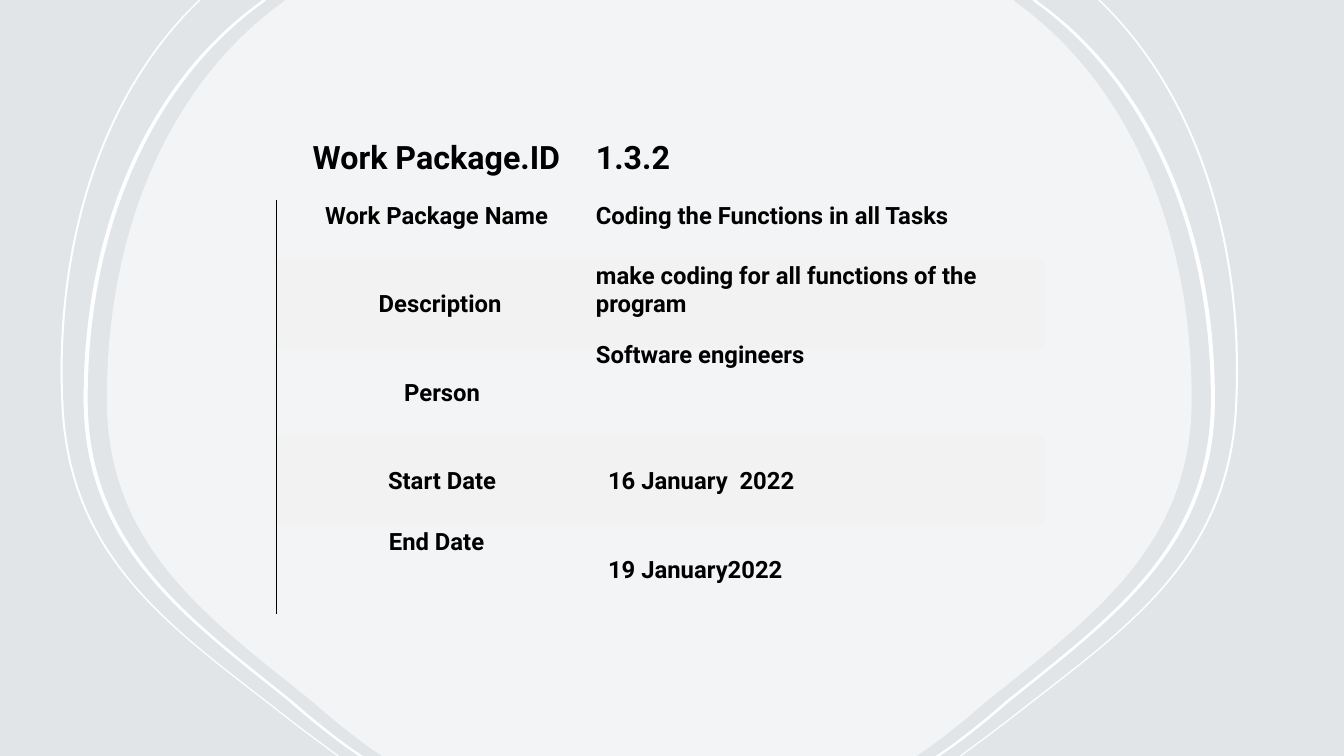
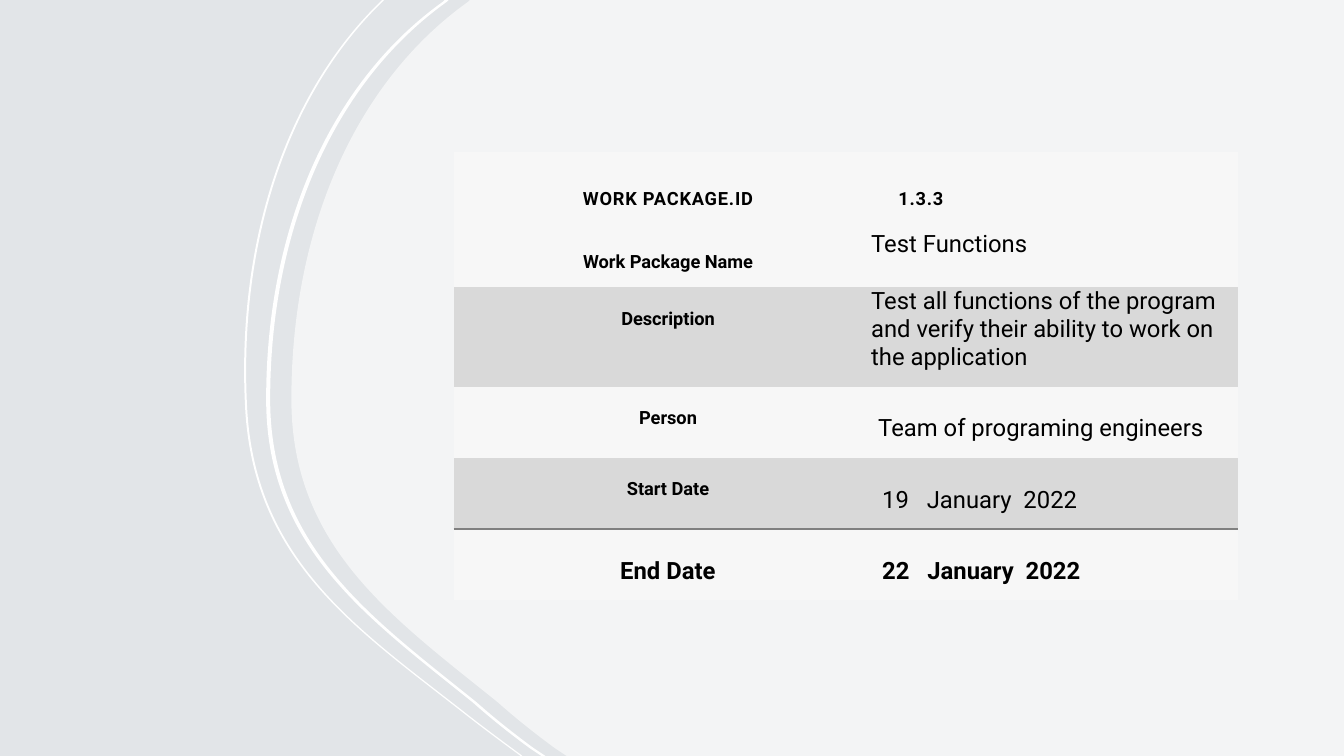
from typing import NamedTuple, Optional

from lxml.etree import SubElement
from pptx import Presentation
from pptx.dml.color import RGBColor
from pptx.enum.text import MSO_ANCHOR, PP_ALIGN
from pptx.oxml import parse_xml
from pptx.oxml.ns import qn
from pptx.util import Pt

PX = 9144
SLIDE_W, SLIDE_H = 1333, 750
FONT = "Roboto"
BLACK = RGBColor(0x00, 0x00, 0x00)
WHITE = RGBColor(0xFF, 0xFF, 0xFF)
BACKDROP = RGBColor(0xE2, 0xE5, 0xE8)
PALE_BAND = RGBColor(0xF2, 0xF2, 0xF2)
LIGHT_BAND = RGBColor(0xF7, 0xF7, 0xF7)
GREY_BAND = RGBColor(0xD9, 0xD9, 0xD9)
RULE_GREY = RGBColor(0x80, 0x80, 0x80)
NO_STYLE = "{2D5ABB26-0587-4C30-8999-92F81FD0307C}"
DRAWING_NS = "http://schemas.openxmlformats.org/drawingml/2006/main"

MIRROR_SUM = 1288
PANEL_EDGE = [
    [(283, 0)],
    [(281, 2), (168, 83), (106, 229), (106, 396),
     (106, 543), (207, 613), (311, 697),
     (329, 713), (348, 728), (367, 742)],
    [(379, 750)],
]
OUTER_EDGE = [
    [(197, 0)],
    [(194, 3), (101, 94), (53, 240), (61, 402),
     (68, 555), (170, 623), (276, 706),
     (295, 721), (314, 735), (333, 749)],
    [(334, 750)],
]


class Entry(NamedTuple):
    text: str
    top: int = 3
    indent: int = 8
    size: int = 17
    bold: bool = True
    line_pt: Optional[float] = None
    spacing: int = 0


class Row(NamedTuple):
    height: int
    label: Entry
    value: Entry
    band: Optional[RGBColor] = None


def px(length):
    return round(length * PX)


def shifted(strands, dx):
    return [[(x + dx, y) for x, y in strand] for strand in strands]


def mirrored(strands):
    return [[(MIRROR_SUM - x, y) for x, y in strand] for strand in strands]


def turned(strands):
    return [strand[::-1] for strand in strands[::-1]]


def ribbon(edge, width):
    return edge + turned(shifted(edge, width))


def segments_of(strands):
    segments = []
    for strand in strands:
        segments.append(strand[:1])
        segments += [strand[i:i + 3] for i in range(1, len(strand), 3)]
    return segments


def bend(outline, segments):
    for line, segment in zip(list(outline._element.iter(qn("a:lnTo"))), segments):
        if len(segment) == 3:
            line.tag = qn("a:cubicBezTo")
            line.remove(line[0])
            for x, y in segment:
                point = SubElement(line, qn("a:pt"))
                point.set("x", str(px(x) - outline.left))
                point.set("y", str(px(y) - outline.top))


def add_outline(slide, strands, opacity=100):
    (start,), *segments = segments_of(strands)
    builder = slide.shapes.build_freeform(px(start[0]), px(start[1]))
    builder.add_line_segments(
        [(px(segment[-1][0]), px(segment[-1][1])) for segment in segments], close=True)
    outline = builder.convert_to_shape()
    bend(outline, segments)
    outline.shadow.inherit = False
    outline.fill.solid()
    outline.fill.fore_color.rgb = WHITE
    outline.line.fill.background()
    if opacity < 100:
        color = outline._element.spPr.find(qn("a:solidFill"))[0]
        SubElement(color, qn("a:alpha")).set("val", str(opacity * 1000))


def add_panel(slide, edge, far_side):
    add_outline(slide, edge + turned(far_side), opacity=60)


def add_ribbons(slide, outer_dx, inner_dx, symmetric=False):
    outer = ribbon(shifted(OUTER_EDGE, outer_dx), 2)
    inner = ribbon(shifted(PANEL_EDGE, inner_dx), 4)
    sides = [outer, inner]
    if symmetric:
        sides += [mirrored(outer), mirrored(inner)]
    for side in sides:
        add_outline(slide, side)


def set_border(cell, side, color, width_pt):
    border = parse_xml(
        f'<a:{side} xmlns:a="{DRAWING_NS}" w="{Pt(width_pt)}"><a:solidFill>'
        f'<a:srgbClr val="{color}"/></a:solidFill></a:{side}>')
    cell._tc.get_or_add_tcPr().insert(0, border)


def fill_cell(cell, entry, align, band, margins):
    left, right, bottom = margins
    cell.margin_left, cell.margin_right = px(left), px(right)
    cell.margin_top, cell.margin_bottom = px(entry.top), px(bottom)
    cell.vertical_anchor = MSO_ANCHOR.TOP
    if band is None:
        cell.fill.background()
    else:
        cell.fill.solid()
        cell.fill.fore_color.rgb = band
    paragraph = cell.text_frame.paragraphs[0]
    paragraph.text = entry.text
    paragraph.alignment = align
    paragraph._p.get_or_add_pPr().set("marL", str(px(entry.indent)))
    if entry.line_pt:
        paragraph.line_spacing = Pt(entry.line_pt)
    for run in paragraph.runs:
        run.font.name = FONT
        run.font.size = Pt(entry.size)
        run.font.bold = entry.bold
        run.font.color.rgb = BLACK
        if entry.spacing:
            run._r.get_or_add_rPr().set("spc", str(entry.spacing))


def add_package_table(slide, left, top, widths, rows, margins):
    table = slide.shapes.add_table(
        len(rows), len(widths), px(left), px(top),
        px(sum(widths)), px(sum(row.height for row in rows))).table
    table.first_row = table.horz_banding = False
    table._tbl.tblPr.find(qn("a:tableStyleId")).text = NO_STYLE
    for column, width in zip(table.columns, widths):
        column.width = px(width)
    for i, row in enumerate(rows):
        table.rows[i].height = px(row.height)
        fill_cell(table.cell(i, 0), row.label, PP_ALIGN.CENTER, row.band, margins)
        fill_cell(table.cell(i, 1), row.value, PP_ALIGN.LEFT, row.band, margins)
    return table


def add_coding_slide(prs):
    slide = prs.slides.add_slide(prs.slide_layouts[6])
    add_ribbons(slide, 0, -23, symmetric=True)
    add_panel(slide, PANEL_EDGE, mirrored(PANEL_EDGE))
    rows = [
        Row(69, Entry("Work Package.ID", top=9, size=23),
            Entry("1.3.2", top=9, indent=7, size=23)),
        Row(59, Entry("Work Package Name"),
            Entry("Coding the Functions in all Tasks", indent=7)),
        Row(88, Entry("Description", top=31, indent=15),
            Entry("make coding for all functions of the program", indent=7),
            PALE_BAND),
        Row(88, Entry("Person", top=31, indent=19),
            Entry("Software engineers", indent=7, line_pt=13.2)),
        Row(88, Entry("Start Date", top=31, indent=19),
            Entry("16 January  2022", top=31, indent=19), PALE_BAND),
        Row(88, Entry("End Date"),
            Entry("19 January2022", top=31, indent=19)),
    ]
    table = add_package_table(slide, 274, 129, (300, 462), rows, (10, 0, 22))
    for i in range(1, len(rows)):
        set_border(table.cell(i, 0), "lnL", BLACK, 0.75)


def add_testing_slide(prs):
    slide = prs.slides.add_slide(prs.slide_layouts[6])
    add_panel(slide, shifted(PANEL_EDGE, 183), [[(SLIDE_W, 0)], [(SLIDE_W, SLIDE_H)]])
    add_ribbons(slide, 182, 158)

    def label(text):
        return Entry(text, top=21, indent=19, size=13)

    rows = [
        Row(78, Entry("WORK PACKAGE.ID", 36, 19, 13, spacing=60),
            Entry("1.3.3", 36, 35, 13, spacing=60), LIGHT_BAND),
        Row(56, label("Work Package Name"),
            Entry("Test Functions", top=0, bold=False), LIGHT_BAND),
        Row(99, label("Description"),
            Entry("Test all functions of the program and verify their ability "
                  "to work on the application", top=0, bold=False), GREY_BAND),
        Row(70, label("Person"),
            Entry("Team of programing engineers", 27, 15, bold=False), LIGHT_BAND),
        Row(71, label("Start Date"),
            Entry("19   January  2022", 29, 19, bold=False), GREY_BAND),
        Row(70, Entry("End Date", 28, 19),
            Entry("22   January  2022", 28, 19), LIGHT_BAND),
    ]
    table = add_package_table(slide, 450, 151, (406, 372), rows, (0, 0, 10))
    for column in range(2):
        set_border(table.cell(4, column), "lnB", RULE_GREY, 2.25)
        set_border(table.cell(5, column), "lnT", RULE_GREY, 2.25)


def main():
    prs = Presentation()
    prs.slide_width, prs.slide_height = px(SLIDE_W), px(SLIDE_H)
    backdrop = prs.slide_master.background.fill
    backdrop.solid()
    backdrop.fore_color.rgb = BACKDROP
    add_coding_slide(prs)
    add_testing_slide(prs)
    prs.save("out.pptx")


if __name__ == "__main__":
    main()
